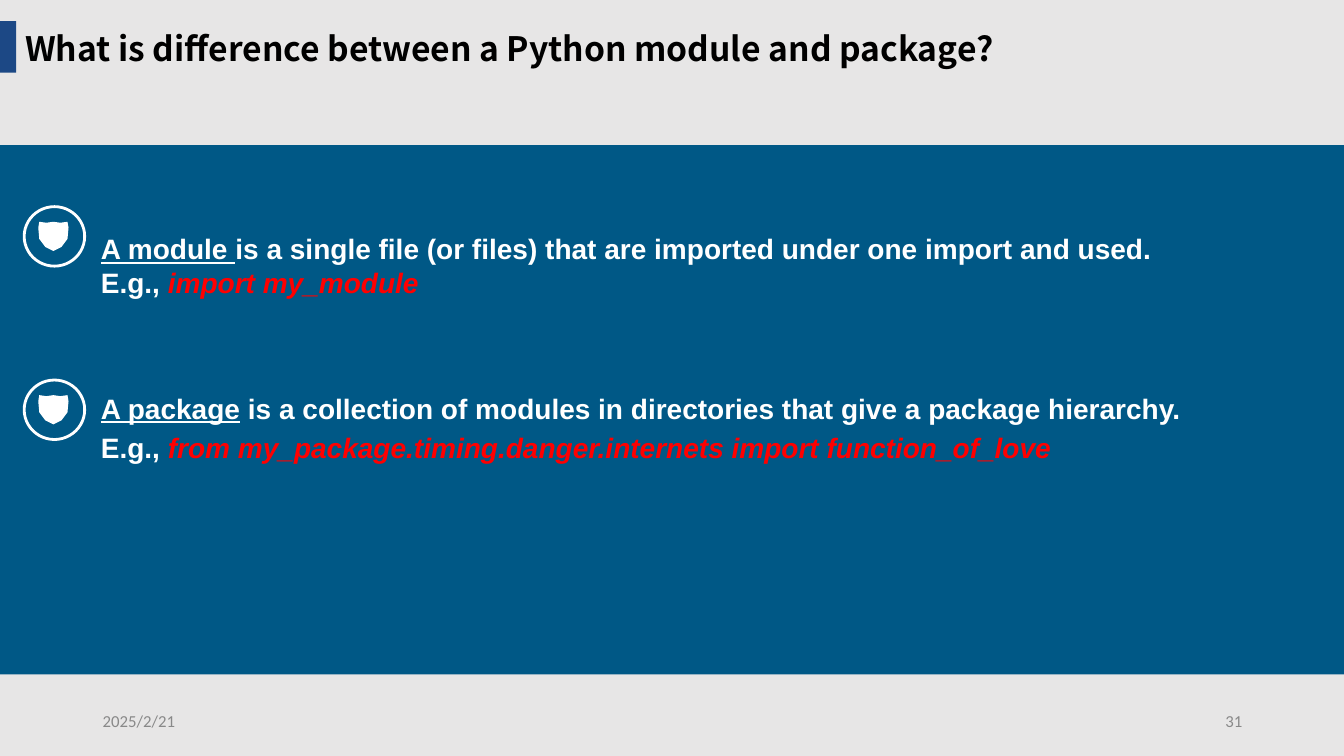
from dataclasses import dataclass

from lxml.etree import SubElement
from pptx import Presentation
from pptx.dml.color import RGBColor
from pptx.enum.shapes import MSO_SHAPE
from pptx.enum.text import MSO_ANCHOR, MSO_AUTO_SIZE, PP_ALIGN
from pptx.oxml.ns import qn
from pptx.util import Inches, Pt


@dataclass(frozen=True)
class Theme:
    background = RGBColor.from_string("E7E6E6")
    panel = RGBColor.from_string("005886")
    accent = RGBColor.from_string("1C4885")
    white = RGBColor.from_string("FFFFFF")
    black = RGBColor.from_string("000000")
    code = RGBColor.from_string("FF0000")
    muted = RGBColor.from_string("898989")
    title_size = Pt(24)
    body_size = Pt(20)
    footer_size = Pt(12)


def place(shape, left, top, width, height):
    shape.left, shape.top = Inches(left), Inches(top)
    shape.width, shape.height = Inches(width), Inches(height)


def add_run(paragraph, text, color, **font_values):
    run = paragraph.add_run()
    run.text = text
    run.font.color.rgb = color
    for name, value in font_values.items():
        setattr(run.font, name, value)


theme = Theme()
presentation = Presentation()
presentation.slide_width, presentation.slide_height = Inches(13.33), Inches(7.5)
slide = presentation.slides.add_slide(presentation.slide_layouts[3])
slide.background.fill.solid()
slide.background.fill.fore_color.rgb = theme.background

# Blue panel and title marker, kept behind the placeholders
bands = [((0, 1.44, 13.33, 5.25), theme.panel), ((0, 0.21, 0.16, 0.51), theme.accent)]
for depth, (area, color) in enumerate(bands, start=2):
    band = slide.shapes.add_shape(MSO_SHAPE.RECTANGLE, *map(Inches, area))
    band.shadow.inherit = False
    band.fill.solid()
    band.fill.fore_color.rgb = color
    band.line.fill.background()
    slide.shapes._spTree.insert(depth, band._element)

# Title
title = slide.shapes.title
place(title, 0.15, 0.22, 10.25, 0.51)
title_format = {"word_wrap": True, "auto_size": MSO_AUTO_SIZE.NONE,
                "vertical_anchor": MSO_ANCHOR.MIDDLE}
for name, value in title_format.items():
    setattr(title.text_frame, name, value)
heading = title.text_frame.paragraphs[0]
heading.alignment = PP_ALIGN.LEFT
add_run(heading, "What is difference between a Python module and package?", theme.black,
        name="Noto Sans CJK SC", size=theme.title_size, bold=True)

# Definitions: a list of paragraphs, each a list of (text, role); "break" starts a new line
module_definition = [
    [("A module ", "term"),
     ("is a single file (or files) that are imported under one import and used. ", "plain"),
     ("", "break"), ("E.g., ", "plain"), ("import my_module", "code")],
]
package_definition = [
    [("A package", "term"),
     (" is a collection of modules in directories that give a package hierarchy.", "plain")],
    [("E.g., ", "plain"),
     ("from my_package.timing.danger.internets import function_of_love", "code")],
]
body_font = {"name": "Arial", "size": theme.body_size, "bold": True}
roles = {
    "term": {"color": theme.white, "underline": True},
    "plain": {"color": theme.white},
    "code": {"color": theme.code, "italic": True},
}
body_format = {"margin_left": 0, "margin_right": 0, "margin_top": 0,
               "margin_bottom": 0, "word_wrap": True, "auto_size": MSO_AUTO_SIZE.NONE,
               "vertical_anchor": MSO_ANCHOR.TOP}
definitions = [(1, 2.3, 0.67, module_definition), (2, 3.88, 0.74, package_definition)]
for index, top, height, paragraphs in definitions:
    definition = slide.placeholders[index]
    place(definition, 1, top, 11.98, height)
    frame = definition.text_frame
    for name, value in body_format.items():
        setattr(frame, name, value)
    for number, runs in enumerate(paragraphs):
        paragraph = frame.add_paragraph() if number else frame.paragraphs[0]
        properties = paragraph._p.get_or_add_pPr()
        properties.set("marL", "0")
        properties.set("indent", "0")
        SubElement(properties, qn("a:buNone"))
        paragraph.space_before = Pt(4) if number else Pt(0)
        for text, role in runs:
            if role == "break":
                paragraph.add_line_break()
                line_break = paragraph._p.findall(qn("a:br"))[-1]
                SubElement(line_break, qn("a:rPr"), sz=str(int(theme.body_size.pt * 100)))
            else:
                add_run(paragraph, text, **body_font, **roles[role])

# Shield outline: left side from the top centre down, then mirrored
left_side = [(0, 0), (-0.07, 0.01), (-0.14, 0), (-0.15, 0.06), (-0.14, 0.17),
             (-0.08, 0.25), (0, 0.29)]
shield_outline = left_side + [(-x, y) for x, y in reversed(left_side[1:-1])]

# Ringed shield icons
for ring_top in (2.05, 3.77):
    icon = slide.shapes.add_group_shape()
    points = [(Inches(0.53 + x), Inches(ring_top + 0.15 + y)) for x, y in shield_outline]
    builder = icon.shapes.build_freeform(*points[0])
    builder.add_line_segments(points[1:], close=True)
    shield = builder.convert_to_shape()
    shield.shadow.inherit = False
    shield.fill.solid()
    shield.fill.fore_color.rgb = theme.white
    shield.line.fill.background()
    ring = icon.shapes.add_shape(MSO_SHAPE.OVAL, Inches(0.24), Inches(ring_top),
                                 Inches(0.6), Inches(0.59))
    ring.shadow.inherit = False
    ring.fill.background()
    ring.line.color.rgb = theme.white
    ring.line.width = Pt(2)

# Date and slide number
for left, text, alignment in [(0.92, "2025/2/21", PP_ALIGN.LEFT), (9.42, "31", PP_ALIGN.RIGHT)]:
    footer = slide.shapes.add_textbox(Inches(left), Inches(6.95), Inches(3), Inches(0.4))
    footer.text_frame.word_wrap = True
    footer.text_frame.vertical_anchor = MSO_ANCHOR.MIDDLE
    footer_line = footer.text_frame.paragraphs[0]
    footer_line.alignment = alignment
    add_run(footer_line, text, theme.muted, name="Calibri", size=theme.footer_size)

presentation.save("out.pptx")
